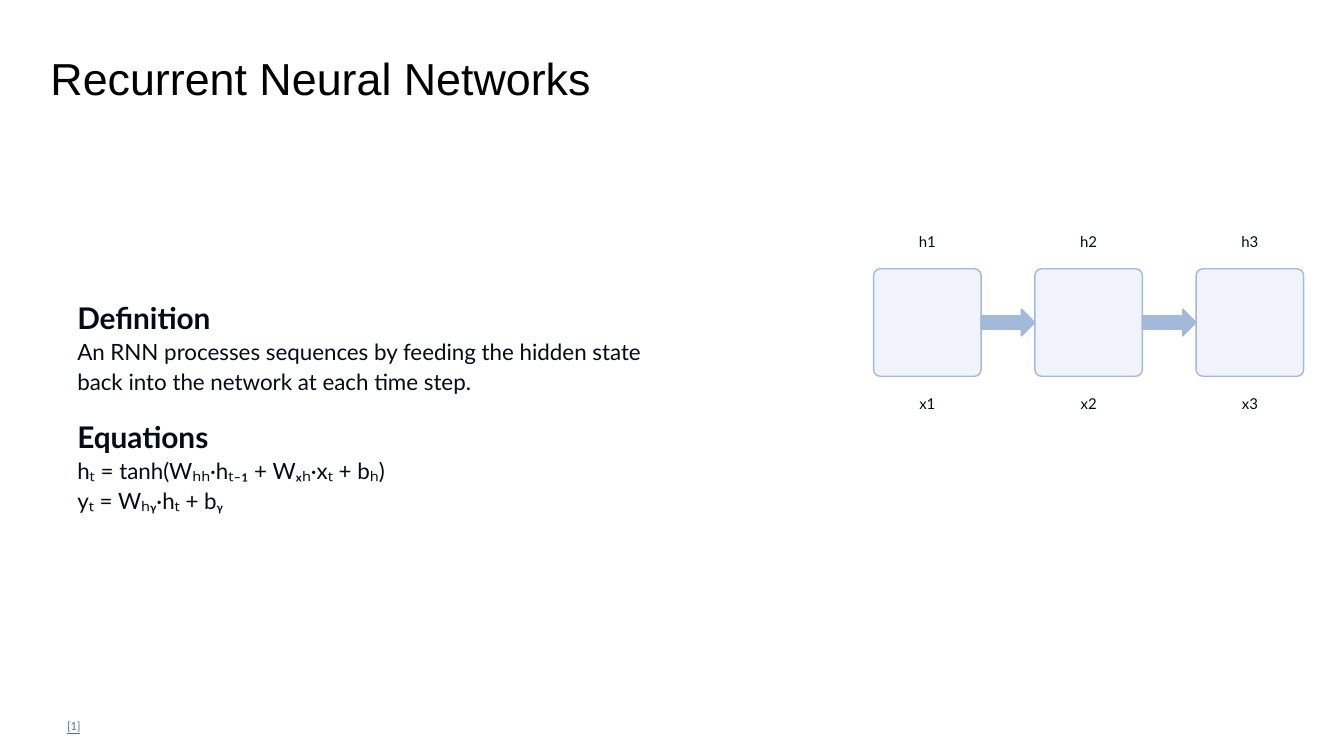
from dataclasses import dataclass

from lxml.etree import SubElement
from pptx import Presentation
from pptx.dml.color import RGBColor
from pptx.enum.shapes import MSO_SHAPE as Shape
from pptx.enum.text import MSO_ANCHOR as Anchor, MSO_AUTO_SIZE as AutoSize, PP_ALIGN as Align
from pptx.oxml.ns import qn
from pptx.util import Inches, Pt

TITLE = "Recurrent Neural Networks"
SECTIONS = [
    ("Definition", [
        "An RNN processes sequences by feeding the hidden state back into the network at each time step.",
    ]),
    ("Equations", [
        "hₜ = tanh(Wₕₕ·hₜ₋₁ + Wₓₕ·xₜ + bₕ)",
        "yₜ = Wₕᵧ·hₜ + bᵧ",
    ]),
]
STEPS = [("h1", "x1"), ("h2", "x2"), ("h3", "x3")]
CITATION = "[1]"


@dataclass(frozen=True)
class Theme:
    title_font: str = "Arial"
    body_font: str = "Lato"
    black: str = "000000"
    ink: str = "030A18"
    link: str = "467886"
    cell: str = "F0F4FA"
    edge: str = "A3B9D9"
    title_size: float = 32
    heading_size: float = 21.3
    body_size: float = 16
    label_size: float = 10.7
    citation_size: float = 8
    line_spacing: float = 21.3


THEME = Theme()
WIDTH, HEIGHT = Inches(13.333), Inches(7.5)
UNIT = WIDTH / 50
CELL, STEP, CELL_LEFT, CELL_TOP = 4, 6, 32.5, 10
ARROW_HEIGHT, LABEL_HEIGHT, LABEL_GAP = 1, 1.5, 0.25


def grid(*lengths):
    return [round(length * UNIT) for length in lengths]


def place(shape, *box):
    shape.left, shape.top, shape.width, shape.height = grid(*box)
    frame = shape.text_frame
    frame.word_wrap = True
    frame.auto_size = AutoSize.NONE
    frame.vertical_anchor = Anchor.MIDDLE
    return frame


def write(paragraph, text, *, size, font=THEME.body_font, color=THEME.ink, bold=False,
          underline=False, align=Align.LEFT, before=0, spacing=None):
    properties = paragraph._p.get_or_add_pPr()
    properties.set("marL", "0")
    properties.set("indent", "0")
    SubElement(properties, qn("a:buNone"))
    paragraph.alignment = align
    paragraph.space_before = Pt(before)
    if spacing:
        paragraph.line_spacing = Pt(spacing)
    run = paragraph.add_run()
    run.text = text
    run.font.name = font
    run.font.size = Pt(size)
    run.font.bold = bold
    run.font.underline = underline
    run.font.color.rgb = RGBColor.from_string(color)


def add_label(slide, text, *box, **style):
    frame = place(slide.shapes.add_textbox(0, 0, 0, 0), *box)
    write(frame.paragraphs[0], text, **style)
    return frame


def add_block(slide, kind, fill, *box):
    shape = slide.shapes.add_shape(kind, *grid(*box))
    shape.shadow.inherit = False
    shape.fill.solid()
    shape.fill.fore_color.rgb = RGBColor.from_string(fill)
    shape.line.color.rgb = RGBColor.from_string(THEME.edge)
    shape.line.width = Pt(1)
    return shape


def add_sections(frame):
    lines = []
    for index, (heading, body) in enumerate(SECTIONS):
        gap = THEME.line_spacing if index else 0
        lines.append((heading, {"size": THEME.heading_size, "bold": True, "before": gap}))
        lines += [(text, {"size": THEME.body_size}) for text in body]
    for index, (text, style) in enumerate(lines):
        paragraph = frame.add_paragraph() if index else frame.paragraphs[0]
        write(paragraph, text, spacing=THEME.line_spacing, **style)


def add_network(slide):
    for index, (hidden, entry) in enumerate(STEPS):
        left = CELL_LEFT + index * STEP
        cell = add_block(slide, Shape.ROUNDED_RECTANGLE, THEME.cell, left, CELL_TOP, CELL, CELL)
        cell.adjustments[0] = 0.062
        if index < len(STEPS) - 1:
            add_block(slide, Shape.RIGHT_ARROW, THEME.edge, left + CELL,
                      CELL_TOP + (CELL - ARROW_HEIGHT) / 2, STEP - CELL, ARROW_HEIGHT)
        label_tops = (CELL_TOP - LABEL_GAP - LABEL_HEIGHT, CELL_TOP + CELL + LABEL_GAP)
        for text, top in zip((hidden, entry), label_tops):
            add_label(slide, text, left, top, CELL, LABEL_HEIGHT,
                      size=THEME.label_size, align=Align.CENTER)


def main():
    presentation = Presentation()
    presentation.slide_width, presentation.slide_height = WIDTH, HEIGHT
    slide = presentation.slides.add_slide(presentation.slide_layouts[1])
    title, body = slide.placeholders
    write(place(title, 1.5, 1.5, 47, 2.75).paragraphs[0], TITLE,
          size=THEME.title_size, font=THEME.title_font, color=THEME.black)
    add_sections(place(body, 2.5, 6.5, 23, 17.5))
    add_network(slide)
    citation = add_label(slide, CITATION, 2.5, 26.38, 45, 1.25,
                         size=THEME.citation_size, color=THEME.link, underline=True)
    citation.margin_left = citation.margin_right = 0
    citation.margin_top = citation.margin_bottom = 0
    presentation.save("out.pptx")


if __name__ == "__main__":
    main()
